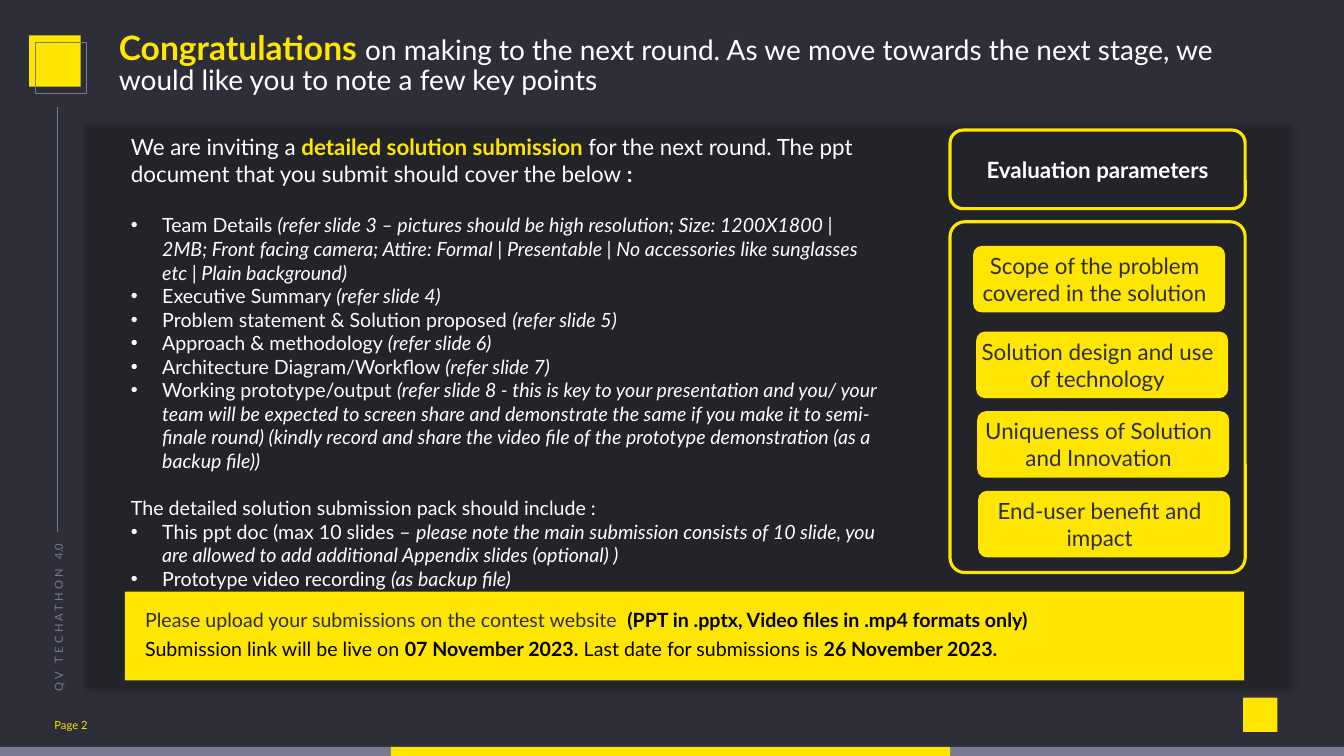
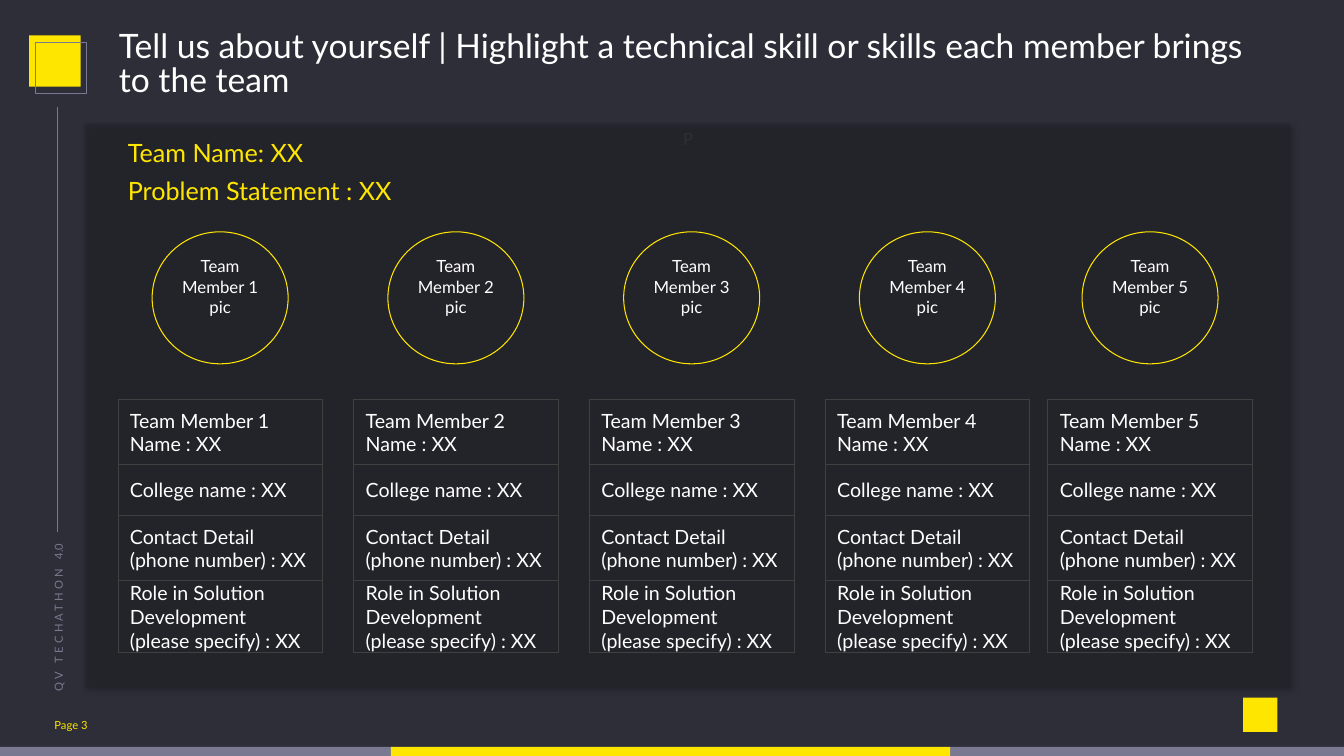
"""Build the two techathon briefing slides."""
import pptx
import pptx.dml.color
import pptx.enum.shapes
import pptx.enum.text
import pptx.oxml
import pptx.oxml.ns
import pptx.util

inches = pptx.util.Inches
points = pptx.util.Pt
color = pptx.dml.color.RGBColor.from_string
kinds = pptx.enum.shapes.MSO_SHAPE
align = pptx.enum.text.PP_ALIGN
anchor = pptx.enum.text.MSO_ANCHOR
namespace = pptx.oxml.ns.nsdecls("a")

YELLOW, WHITE, BLACK = "FFE600", "FFFFFF", "000000"
DARK, GREY, PANEL, BORDER = "2E2E38", "797991", "23232A", "404040"


def write(paragraph, text, size=14, ink=WHITE, bold=False, italic=False):
    run = paragraph.add_run()
    run.text = text
    run.font.name = "Lato"
    run.font.size = points(size)
    run.font.color.rgb = color(ink)
    run.font.bold = bold
    run.font.italic = italic


def draw(slide, kind, box, fill=None, line=None, width=0.75):
    shape = slide.shapes.add_shape(kind, *map(inches, box))
    shape.shadow.inherit = False
    if fill:
        shape.fill.solid()
        shape.fill.fore_color.rgb = color(fill)
    else:
        shape.fill.background()
    if line:
        shape.line.color.rgb = color(line)
        shape.line.width = points(width)
    else:
        shape.line.fill.background()
    shape.text_frame.word_wrap = True
    return shape


presentation = pptx.Presentation()
presentation.slide_width = inches(13.34)
presentation.slide_height = inches(7.5)
master = presentation.slide_master
master.background.fill.solid()
master.background.fill.fore_color.rgb = color(DARK)

master_title = master.placeholders[0]
master_title.left, master_title.top = inches(1.18), inches(0.32)
master_title.width, master_title.height = inches(11.5), inches(0.65)
frame = master_title.text_frame
frame.margin_left = frame.margin_right = frame.margin_top = frame.margin_bottom = 0
frame.vertical_anchor = anchor.MIDDLE
frame.auto_size = pptx.enum.text.MSO_AUTO_SIZE.NONE

brief = presentation.slides.add_slide(presentation.slide_layouts[1])
team = presentation.slides.add_slide(presentation.slide_layouts[5])

shared = [
    draw(brief, kinds.RECTANGLE, box, fill, line)
    for box, fill, line in (
        ((0.29, 0.35, 0.51, 0.51), YELLOW, None),
        ((0.35, 0.42, 0.51, 0.51), None, GREY),
        ((0, 7.41, 3.91, 0.09), GREY, None),
        ((9.43, 7.41, 3.91, 0.09), GREY, None),
        ((3.88, 7.41, 5.55, 0.09), YELLOW, None),
        ((12.34, 6.92, 0.34, 0.34), YELLOW, None),
    )
]

panel = draw(brief, kinds.RECTANGLE, (0.84, 1.23, 11.97, 5.59), PANEL)
for fill_color in panel.element.spPr.iter(pptx.oxml.ns.qn("a:srgbClr")):
    fill_color.append(pptx.oxml.parse_xml(f'<a:alpha {namespace} val="55000"/>'))
effects = panel.element.spPr.find(pptx.oxml.ns.qn("a:effectLst"))
effects.append(pptx.oxml.parse_xml(
    f'<a:outerShdw {namespace} blurRad="50800" dist="38100" dir="2700000">'
    f'<a:srgbClr val="{BLACK}"><a:alpha val="40000"/></a:srgbClr></a:outerShdw>'))
shared.append(panel)

rail = brief.shapes.add_connector(
    pptx.enum.shapes.MSO_CONNECTOR.STRAIGHT, *map(inches, (0.57, 5.28, 0.57, 1.06)))
rail.line.color.rgb = color(GREY)
rail.line.width = points(0.75)
rail.element.spPr.append(pptx.oxml.parse_xml(f"<a:effectLst {namespace}/>"))
shared.append(rail)

event_name = brief.shapes.add_textbox(*map(inches, (-0.34, 5.95, 1.81, 0.2)))
event_name.rotation = 270
event_name.text_frame.word_wrap = True
paragraph = event_name.text_frame.paragraphs[0]
write(paragraph, "QV TECHATHON ", size=8, ink=GREY)
paragraph.runs[0].font._element.set("spc", "230")
write(paragraph, "4.0", size=8, ink=GREY)
shared.append(event_name)

for shape in shared:
    master.shapes.element.append(shape.element)

titles = (
    (brief, [("Congratulations ", dict(size=24, ink=YELLOW, bold=True)),
             ("on making to the next round. As we move towards the next stage, "
              "we would like you to note a few key points", dict(size=20))]),
    (team, [("Tell us about yourself | Highlight a technical skill or skills "
             "each member brings to the team", dict(size=24))]),
)
for page, (slide, runs) in enumerate(titles, start=2):
    paragraph = slide.shapes.title.text_frame.paragraphs[0]
    paragraph.alignment = align.LEFT
    paragraph.line_spacing = 0.85
    for text, style in runs:
        write(paragraph, text, **style)
    page_label = slide.shapes.add_textbox(*map(inches, (0.54, 7.08, 0.73, 0.2)))
    page_label.text_frame.margin_left = 0
    page_label.text_frame.word_wrap = True
    write(page_label.text_frame.paragraphs[0], f"Page {page}", size=8, ink=YELLOW)

ITALIC = dict(italic=True)
instructions = (
    (False, 0, [
        ("We are inviting a ", dict(size=16)),
        ("detailed solution submission ", dict(size=16, ink=YELLOW, bold=True)),
        ("for the next round. The ppt document that you submit should cover the below ",
         dict(size=16)),
        (":", dict(size=16, bold=True))]),
    (True, 19, [
        ("Team Details ", {}),
        ("(refer slide 3 – pictures should be high resolution; Size: 1200X1800 | 2MB; "
         "Front facing camera; Attire: Formal | Presentable | No accessories like "
         "sunglasses etc | Plain background)", ITALIC)]),
    (True, 0, [("Executive Summary ", {}), ("(refer slide 4)", ITALIC)]),
    (True, 0, [("Problem statement & Solution proposed ", {}), ("(refer slide 5)", ITALIC)]),
    (True, 0, [("Approach & methodology ", {}), ("(refer slide 6)", ITALIC)]),
    (True, 0, [("Architecture Diagram/Workflow", {}), (" (refer slide 7)", ITALIC)]),
    (True, 0, [
        ("Working prototype/output ", {}),
        ("(refer slide 8 - this is key to your presentation and you/ your team will be "
         "expected to screen share and demonstrate the same if you make it to semi-finale "
         "round) (kindly record and share the video file of the prototype demonstration "
         "(as a backup file))", ITALIC)]),
    (False, 17, [("The detailed solution submission pack should include :", {})]),
    (True, 0, [
        ("This ppt doc (max 10 slides – ", {}),
        ("please note the main submission consists of 10 slide, you are allowed to add "
         "additional Appendix slides (optional) )", ITALIC)]),
    (True, 0, [("Prototype video recording ", {}), ("(as backup file)", ITALIC)]),
)
body = brief.placeholders[1]
body.left, body.top, body.width, body.height = map(inches, (1.2, 1.27, 7.64, 4.68))
frame = body.text_frame
frame.auto_size = pptx.enum.text.MSO_AUTO_SIZE.NONE
for index, (bulleted, gap, runs) in enumerate(instructions):
    paragraph = frame.add_paragraph() if index else frame.paragraphs[0]
    paragraph.space_before = points(gap)
    properties = paragraph._p.get_or_add_pPr()
    indent = inches(0.31) if bulleted else 0
    properties.set("marL", str(indent))
    properties.set("indent", str(-indent))
    bullet = 'buChar {} char="•"' if bulleted else "buNone {}"
    properties.append(pptx.oxml.parse_xml(f"<a:{bullet.format(namespace)}/>"))
    for text, style in runs:
        write(paragraph, text, **style)

criteria_frame = draw(brief, kinds.ROUNDED_RECTANGLE, (9.43, 2.2, 2.93, 3.48),
                      line=YELLOW, width=2.25)
criteria_frame.adjustments[0] = 0.05
heading = draw(brief, kinds.ROUNDED_RECTANGLE, (9.43, 1.29, 2.93, 0.78),
               line=YELLOW, width=2.25)
heading.text_frame.paragraphs[0].alignment = align.CENTER
write(heading.text_frame.paragraphs[0], "Evaluation parameters", size=16, bold=True)

criteria = (
    (9.66, 2.44, "Scope of the problem covered in the solution"),
    (9.69, 3.29, "Solution design and use of technology"),
    (9.7, 4.08, "Uniqueness of Solution and Innovation"),
    (9.71, 4.87, "End-user benefit and impact"),
)
for left, top, text in criteria:
    criterion = draw(brief, kinds.ROUNDED_RECTANGLE, (left, top, 2.5, 0.66), YELLOW)
    criterion.adjustments[0] = 0.13
    frame = criterion.text_frame
    frame.margin_left = frame.margin_top = frame.margin_bottom = 0
    frame.margin_right = inches(0.09)
    frame.paragraphs[0].alignment = align.CENTER
    write(frame.paragraphs[0], text, size=16, ink=DARK)

STRONG = dict(ink=BLACK, bold=True)
deadlines = (
    [("Please upload your submissions on the contest website ", dict(ink=DARK)),
     (" (PPT in .pptx, Video files in .mp4 formats only)", STRONG)],
    [("Submission link will be live on ", dict(ink=BLACK)), ("07 November 2023.", STRONG),
     (" Last date for submissions is ", dict(ink=BLACK)), ("26 November 2023.", STRONG)],
)
banner = draw(brief, kinds.RECTANGLE, (1.24, 5.87, 11.11, 0.88), YELLOW)
frame = banner.text_frame
frame.margin_left = frame.margin_right = frame.margin_top = frame.margin_bottom = inches(0.2)
for index, runs in enumerate(deadlines):
    paragraph = frame.add_paragraph() if index else frame.paragraphs[0]
    paragraph.alignment = align.LEFT
    paragraph.line_spacing = 0.85
    paragraph.space_after = points(6)
    for text, style in runs:
        write(paragraph, text, **style)

labels = (
    ((1.17, 1.31, 6.67, 0.4), "Team Name: XX", 18, YELLOW, align.LEFT),
    ((1.17, 1.69, 6.67, 0.4), "Problem Statement : XX", 18, YELLOW, align.LEFT),
    ((6.58, 1.23, 0.5, 0.3), "P", 12, DARK, align.CENTER),
)
for box, text, size, ink, alignment in labels:
    label = team.shapes.add_textbox(*map(inches, box))
    label.text_frame.word_wrap = True
    label.text_frame.paragraphs[0].alignment = alignment
    write(label.text_frame.paragraphs[0], text, size=size, ink=ink)

row_heights = (0.65, 0.5, 0.65, 0.65)
for number, left in enumerate((1.17, 3.51, 5.85, 8.19, 10.4), start=1):
    portrait = draw(team, kinds.OVAL, (left + 0.34, 2.3, 1.35, 1.31), line=YELLOW)
    frame = portrait.text_frame
    frame.vertical_anchor = anchor.TOP
    frame.margin_left = frame.margin_right = inches(0.05)
    frame.paragraphs[0].alignment = align.CENTER
    write(frame.paragraphs[0], f"Team Member {number} pic", size=12)

    details = (f"Team Member {number} Name : XX", "College name : XX",
               "Contact Detail (phone number) : XX",
               "Role in Solution Development (please specify) : XX")
    table = team.shapes.add_table(
        4, 1, *map(inches, (left, 3.96, 2.03, sum(row_heights)))).table
    table.first_row = table.horz_banding = False
    for row, height, text in zip(table.rows, row_heights, details):
        row.height = inches(height)
        cell = row.cells[0]
        cell.vertical_anchor = anchor.MIDDLE
        cell.margin_left = cell.margin_right = inches(0.12)
        cell.margin_top, cell.margin_bottom = inches(0.01), 0
        write(cell.text_frame.paragraphs[0], text)
        properties = cell._tc.get_or_add_tcPr()
        for side in ("lnL", "lnR", "lnT", "lnB"):
            properties.append(pptx.oxml.parse_xml(
                f'<a:{side} {namespace} w="6350"><a:solidFill>'
                f'<a:srgbClr val="{BORDER}"/></a:solidFill></a:{side}>'))
        cell.fill.background()

presentation.save("out.pptx")
